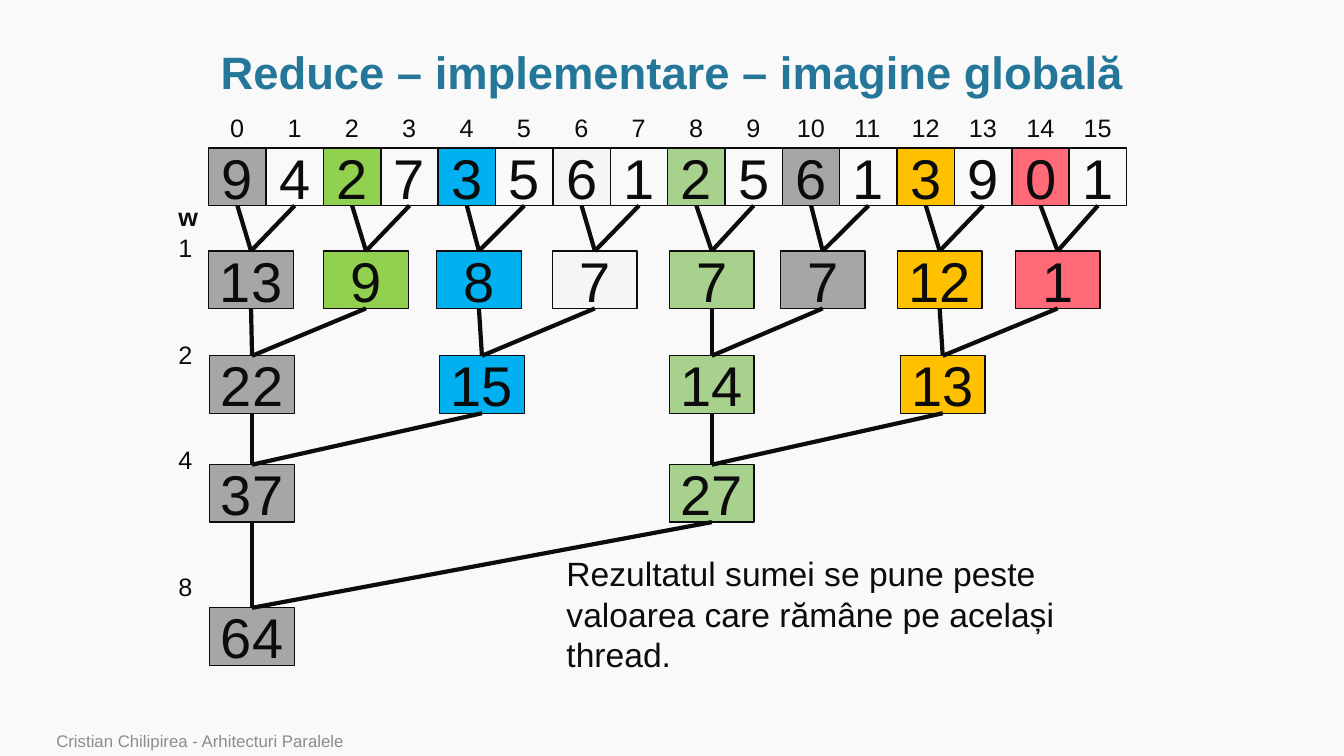
from collections import namedtuple
from dataclasses import dataclass

from lxml import etree
from pptx import Presentation
from pptx import util as u
from pptx.dml import color
from pptx.enum import shapes, text
from pptx.oxml import ns

Box = namedtuple("Box", "left top width height")


@dataclass(frozen=True)
class Theme:
    face: str = "Arial"
    page: str = "F9F9F9"
    ink: str = "0C0C0C"
    title: str = "247798"
    muted: str = "8C8C8C"
    threads: tuple = ("A6A6A6", "92D050", "00B0F0", "F5F5F5",
                      "A9D18E", "A6A6A6", "FFC000", "FF6978")
    title_size: float = 32.4
    value_size: float = 40
    note_size: float = 24
    label_size: float = 18
    footer_size: float = 12


THEME = Theme()
LEAVES = [9, 4, 2, 7, 3, 5, 6, 1, 2, 5, 6, 1, 3, 9, 0, 1]
LEAF_SIDE = 0.569
NODE_WIDTH = 0.84
NODE_HEIGHT = 0.57
LEVEL_TOPS = [1.02, 2.06, 3.14, 4.56]
LEVEL_CENTRES = [
    [0.42, 1.56, 2.68, 3.83, 4.99, 6.09, 7.25, 8.42],
    [0.43, 2.71, 4.99, 7.28],
    [0.43, 4.99],
    [0.43],
]


def inches(box):
    return [u.Inches(length) for length in box]


def apply(target, values):
    for name, value in values.items():
        setattr(target, name, value)


def write(frame, words, size, ink=THEME.ink, bold=False, frame_format=None, para_format=None):
    apply(frame, {"word_wrap": True, **(frame_format or {})})
    para = frame.paragraphs[0]
    apply(para, para_format or {})
    span = para.add_run()
    span.text = words
    apply(span.font, {"name": THEME.face, "size": u.Pt(size), "bold": bold})
    span.font.color.rgb = color.RGBColor.from_string(ink)


def add_text(page, box, words, size, **options):
    write(page.shapes.add_textbox(*inches(box)).text_frame, words, size, **options)


def add_title(page, box, words):
    title = page.shapes.title
    apply(title, dict(zip(Box._fields, inches(box))))
    write(title.text_frame, words, THEME.title_size, THEME.title, True,
          {"vertical_anchor": text.MSO_ANCHOR.MIDDLE, "auto_size": text.MSO_AUTO_SIZE.NONE},
          {"alignment": text.PP_ALIGN.CENTER, "line_spacing": 0.9})


def add_value(page, box, value, fill):
    cell = page.shapes.add_shape(shapes.MSO_SHAPE.RECTANGLE, *inches(box))
    cell.shadow.inherit = False
    if fill:
        cell.fill.solid()
        cell.fill.fore_color.rgb = color.RGBColor.from_string(fill)
    else:
        cell.fill.background()
    cell.line.color.rgb = color.RGBColor.from_string(THEME.ink)
    cell.line.width = u.Pt(1)
    write(cell.text_frame, str(value), THEME.value_size,
          frame_format={"vertical_anchor": text.MSO_ANCHOR.MIDDLE},
          para_format={"alignment": text.PP_ALIGN.CENTER})
    return cell


def add_branch(page, child, parent):
    branch = page.shapes.add_connector(shapes.MSO_CONNECTOR.STRAIGHT, 0, 0, 0, 0)
    branch.begin_connect(child, 2)
    branch.end_connect(parent, 0)
    branch.line.color.rgb = color.RGBColor.from_string(THEME.ink)
    branch.line.width = u.Pt(3)
    etree.SubElement(branch._element.spPr, ns.qn("a:effectLst"))


def add_tree(page, box):
    values = LEAVES
    nodes = []
    for index, value in enumerate(values):
        left = box.left + index * LEAF_SIDE
        fill = None if index % 2 else THEME.threads[index // 2]
        nodes.append(add_value(page, Box(left, box.top, LEAF_SIDE, NODE_HEIGHT), value, fill))
    for level, (top, centres) in enumerate(zip(LEVEL_TOPS, LEVEL_CENTRES)):
        values = [a + b for a, b in zip(values[::2], values[1::2])]
        parents = []
        for index, (value, centre) in enumerate(zip(values, centres)):
            place = Box(box.left + centre - NODE_WIDTH / 2, box.top + top,
                        NODE_WIDTH, NODE_HEIGHT)
            parent = add_value(page, place, value, THEME.threads[index * 2 ** level])
            for child in nodes[2 * index:2 * index + 2]:
                add_branch(page, child, parent)
            parents.append(parent)
        nodes = parents


def add_indices(page, box):
    for index in range(len(LEAVES)):
        width = 0.34 if index < 10 else 0.48
        centre = box.left + (index + 0.5) * LEAF_SIDE
        add_text(page, Box(centre - width / 2, box.top, width, box.height), str(index),
                 THEME.label_size, frame_format={"word_wrap": False})


def add_widths(page, box):
    steps = [("w", 0), ("1", 0.31), ("2", 1.37), ("4", 2.41), ("8", 3.67)]
    for words, drop in steps:
        add_text(page, Box(box.left, box.top + drop, box.width, 0.4), words,
                 THEME.label_size, bold=words == "w", frame_format={"word_wrap": False})


def build_reduce_page(deck, box):
    page = deck.slides.add_slide(deck.slide_layouts[5])
    page.background.fill.solid()
    page.background.fill.fore_color.rgb = color.RGBColor.from_string(THEME.page)

    def within(left, top, width, height):
        return Box(box.left + left, box.top + top, width, height)

    add_title(page, within(2.01, 0.49, 9.31, 0.5), "Reduce – implementare – imagine globală")
    add_tree(page, within(2.07, 1.47, 9.11, 5.13))
    add_indices(page, within(2.07, 1.07, 9.11, 0.4))
    add_widths(page, within(1.67, 1.95, 0.34, 4.07))
    add_text(page, within(5.52, 5.44, 6.06, 1.72),
             "Rezultatul sumei se pune peste valoarea care rămâne pe același thread.",
             THEME.note_size)
    add_text(page, within(0.46, 7.22, 9.82, 0.28), "Cristian Chilipirea - Arhitecturi Paralele",
             THEME.footer_size, ink=THEME.muted,
             frame_format={"vertical_anchor": text.MSO_ANCHOR.BOTTOM})


def main():
    deck = Presentation()
    apply(deck, {"slide_width": u.Inches(13.33), "slide_height": u.Inches(7.5)})
    build_reduce_page(deck, Box(0, 0, 13.33, 7.5))
    deck.save("out.pptx")


if __name__ == "__main__":
    main()
